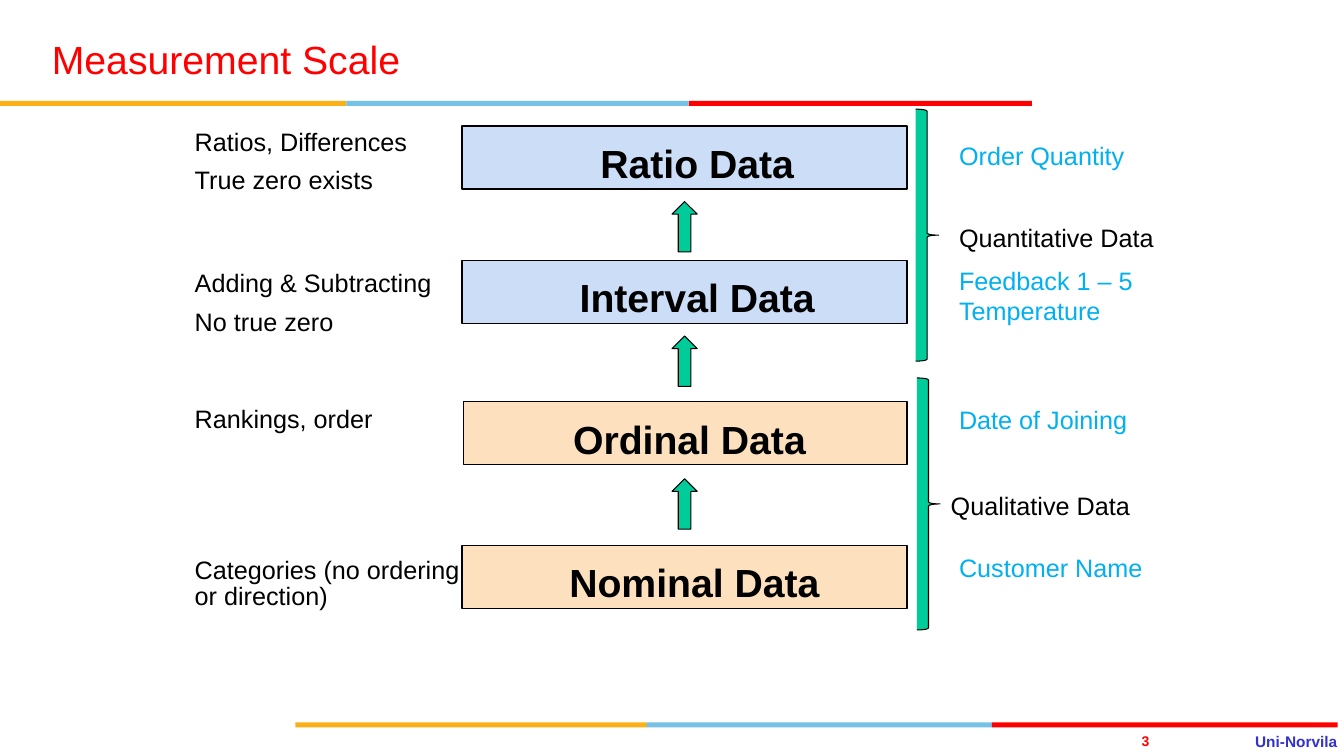
from pptx import Presentation
from pptx.dml.color import RGBColor
from pptx.enum import shapes, text
from pptx.util import Pt

HUES = {
    "gold": "FCB017", "sky": "76C2E5", "red": "FF0000", "navy": "3333CC",
    "pale": "CBDDF7", "peach": "FDE0BD", "green": "00CC99",
    "cyan": "00B0F0", "black": "000000",
}
KIND = shapes.MSO_SHAPE
ALIGN = text.PP_ALIGN
MID = text.MSO_ANCHOR.MIDDLE


def hue(name):
    """Look up a named colour."""
    return RGBColor.from_string(HUES[name])


def draw(slide, kind, box, fill, line=0):
    """Add a filled preset shape, with a black outline if line is set."""
    shape = slide.shapes.add_shape(kind, *map(Pt, box))
    shape.shadow.inherit = False
    shape.fill.solid()
    shape.fill.fore_color.rgb = hue(fill)
    if line:
        shape.line.color.rgb = hue("black")
        shape.line.width = Pt(line)
    else:
        shape.line.fill.background()


def write(slide, words, box, size=18, color="black", bold=False,
          align=ALIGN.LEFT, lead=None, gap=0, pad=True, anchor=None):
    """Add a text box with one paragraph per line of words."""
    frame = slide.shapes.add_textbox(*map(Pt, box)).text_frame
    frame.word_wrap = True
    if anchor is not None:
        frame.vertical_anchor = anchor
    if not pad:
        frame.margin_left = frame.margin_right = 0
        frame.margin_top = frame.margin_bottom = 0
    frame.text = words
    for i, para in enumerate(frame.paragraphs):
        para.alignment = align
        if lead:
            para.line_spacing = lead
        if i and gap:
            para.space_before = Pt(gap)
        for run in para.runs:
            font = run.font
            font.name, font.size, font.bold = "Arial", Pt(size), bold
            font.color.rgb = hue(color)


def stripe(slide, left, top, widths):
    """Draw a three-colour rule from left to right."""
    for fill, width in zip(("gold", "sky", "red"), widths):
        draw(slide, KIND.RECTANGLE, (left, top, width, 3.6), fill)
        left += width


def level(slide, name, top, fill, mid, left=330):
    """Draw one scale bar with its name centred on mid."""
    draw(slide, KIND.RECTANGLE, (left, top, 648 - left, 45), fill, 1)
    write(slide, name, (mid - 140, top + 6, 280, 41), 28, bold=True,
          align=ALIGN.CENTER)


def brace(slide, left, top, name, spot):
    """Draw a brace and the name of the group it spans."""
    draw(slide, KIND.RIGHT_BRACE, (left, top, 16.5, 180), "green", 0.75)
    write(slide, name, (*spot, 168, 29))


def main():
    """Build and save the slide."""
    deck = Presentation()
    deck.slide_width, deck.slide_height = Pt(960), Pt(540)
    slide = deck.slides.add_slide(deck.slide_layouts[6])

    stripe(slide, 0, 72, (247.5, 244.5, 245))
    stripe(slide, 211, 516, (251, 246.5, 247))
    write(slide, "Uni-Norvila", (896.5, 523, 61.5, 13.5), 11, "navy", True,
          pad=False, anchor=MID)
    write(slide, "3", (806.5, 523.5, 23.5, 12), 10, "red", True,
          ALIGN.CENTER, pad=False, anchor=MID)
    write(slide, "Measurement Scale", (30, 12, 581, 60), 28, "red",
          anchor=MID)

    level(slide, "Ratio Data", 90, "pale", 498)
    level(slide, "Interval Data", 186, "pale", 498)
    level(slide, "Ordinal Data", 287, "peach", 492.5, 331)
    level(slide, "Nominal Data", 389.5, "peach", 496)
    for top in (144, 240, 342):
        draw(slide, KIND.UP_ARROW, (480, top, 18, 36), "green", 0.75)

    notes = (
        ("Ratios, Differences\nTrue zero exists", 90),
        ("Adding & Subtracting\nNo true zero", 191),
        ("Rankings, order", 288),
        ("Categories (no ordering or direction)", 396),
    )
    for words, top in notes:
        write(slide, words, (132, top, 204, 44), lead=0.85, gap=9)

    cases = (
        ("Order Quantity", 97),
        ("Feedback 1 – 5\nTemperature", 186),
        ("Date of Joining", 285),
        ("Customer Name", 391),
    )
    for words, top in cases:
        write(slide, words, (678, top, 160, 29), color="cyan")

    brace(slide, 654, 78, "Quantitative Data", (678, 155))
    brace(slide, 655, 270, "Qualitative Data", (672, 347))
    deck.save("out.pptx")


main()
